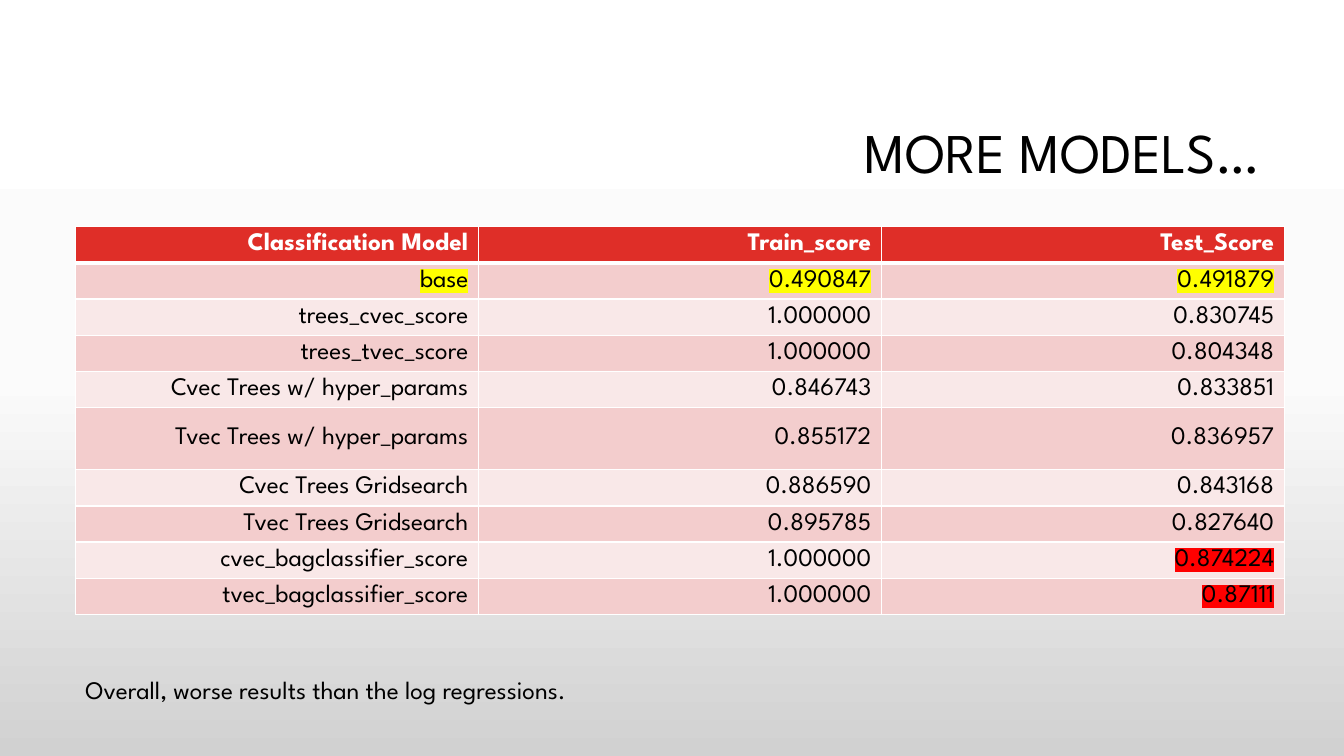
from copy import deepcopy

from lxml import etree
from pptx import Presentation
from pptx.dml.color import RGBColor
from pptx.enum import text
from pptx.oxml import ns
from pptx.util import Pt

FONT = "League Spartan"
BLACK = RGBColor(0x00, 0x00, 0x00)
WHITE = RGBColor(0xFF, 0xFF, 0xFF)
OFF_WHITE = RGBColor(0xFB, 0xFB, 0xFB)
GREY = RGBColor(0xD1, 0xD1, 0xD1)
HEADER_RED = RGBColor(0xDF, 0x2E, 0x28)
PINK = RGBColor(0xF3, 0xCD, 0xCD)
PALE_PINK = RGBColor(0xF9, 0xE8, 0xE8)
YELLOW = RGBColor(0xFF, 0xFF, 0x00)
RED = RGBColor(0xFF, 0x00, 0x00)

SCORES = [
    ("Classification Model", "Train_score", "Test_Score"),
    ("base", "0.490847", "0.491879"),
    ("trees_cvec_score", "1.000000", "0.830745"),
    ("trees_tvec_score", "1.000000", "0.804348"),
    ("Cvec Trees w/ hyper_params", "0.846743", "0.833851"),
    ("Tvec Trees w/ hyper_params", "0.855172", "0.836957"),
    ("Cvec Trees Gridsearch", "0.886590", "0.843168"),
    ("Tvec Trees Gridsearch", "0.895785", "0.827640"),
    ("cvec_bagclassifier_score", "1.000000", "0.874224"),
    ("tvec_bagclassifier_score", "1.000000", "0.87111"),
]
HIGHLIGHTS = {(1, 0): YELLOW, (1, 1): YELLOW, (1, 2): YELLOW,
              (8, 2): RED, (9, 2): RED}
ROW_HEIGHT, TALL_ROW_HEIGHT, TALL_ROW = 25.8, 44.6, 5
COLUMN_WIDTH = 287.8


def format_paragraph(p, size, color=BLACK, bold=False, align=None):
    p.alignment = align
    for r in p.runs:
        r.font.size = Pt(size)
        r.font.name = FONT
        r.font.bold = bold
        r.font.color.rgb = color


def add_color(parent, color):
    etree.SubElement(parent, ns.qn("a:srgbClr"), val=str(color))


def highlight(r, color):
    mark = etree.Element(ns.qn("a:highlight"))
    add_color(mark, color)
    r.font._element.find(ns.qn("a:latin")).addprevious(mark)


def set_borders(cell, bottom_width):
    tc_pr = cell._tc.get_or_add_tcPr()
    widths = {"a:lnL": 1, "a:lnR": 1, "a:lnT": 1, "a:lnB": bottom_width}
    for i, (tag, width) in enumerate(widths.items()):
        ln = etree.Element(ns.qn(tag), w=str(Pt(width)))
        add_color(etree.SubElement(ln, ns.qn("a:solidFill")), WHITE)
        tc_pr.insert(i, ln)


def set_background(s):
    """Fill the slide with a three-stop gradient running downwards."""
    fill = s.background.fill
    fill.gradient()
    fill.gradient_angle = 270
    stop_list = s.element.find(".//" + ns.qn("a:gsLst"))
    stop_list.insert(1, deepcopy(stop_list[0]))
    stops = [(0, WHITE), (0.5, OFF_WHITE), (1, GREY)]
    for stop, (position, color) in zip(fill.gradient_stops, stops):
        stop.position = position
        stop.color.rgb = color


def set_title(s, title):
    sp = s.shapes.title
    sp.left, sp.top, sp.width, sp.height = Pt(228.2), Pt(60.5), Pt(678.2), Pt(101.5)
    tf = sp.text_frame
    tf.text = title
    tf.word_wrap = True
    tf.vertical_anchor = text.MSO_ANCHOR.MIDDLE
    p = tf.paragraphs[0]
    p.line_spacing = 0.9
    format_paragraph(p, 40, align=text.PP_ALIGN.RIGHT)


def fill_cell(cell, value, row, mark):
    header = row == 0
    cell.text = value
    cell.vertical_anchor = text.MSO_ANCHOR.MIDDLE
    cell.margin_top = cell.margin_bottom = Pt(0.75)
    cell.fill.solid()
    cell.fill.fore_color.rgb = HEADER_RED if header else PINK if row % 2 else PALE_PINK
    set_borders(cell, 3 if header else 1)
    p = cell.text_frame.paragraphs[0]
    format_paragraph(p, 18, WHITE if header else BLACK, header, text.PP_ALIGN.RIGHT)
    if mark:
        highlight(p.runs[0], mark)


def add_score_table(s):
    n_rows, n_cols = len(SCORES), len(SCORES[0])
    height = ROW_HEIGHT * (n_rows - 1) + TALL_ROW_HEIGHT
    table = s.shapes.add_table(n_rows, n_cols, Pt(54), Pt(162),
                               Pt(COLUMN_WIDTH * n_cols), Pt(height)).table
    for column in table.columns:
        column.width = Pt(COLUMN_WIDTH)
    for i, values in enumerate(SCORES):
        table.rows[i].height = Pt(TALL_ROW_HEIGHT if i == TALL_ROW else ROW_HEIGHT)
        for j, value in enumerate(values):
            fill_cell(table.cell(i, j), value, i, HIGHLIGHTS.get((i, j)))


def add_conclusion(s, conclusion):
    tf = s.shapes.add_textbox(Pt(54), Pt(478), Pt(851.8), Pt(29)).text_frame
    tf.text = conclusion
    tf.word_wrap = True
    tf.auto_size = text.MSO_AUTO_SIZE.SHAPE_TO_FIT_TEXT
    format_paragraph(tf.paragraphs[0], 18)


def main():
    prs = Presentation()
    prs.slide_width, prs.slide_height = Pt(960), Pt(540)
    s = prs.slides.add_slide(prs.slide_layouts[5])
    set_background(s)
    set_title(s, "MORE MODELS…")
    add_score_table(s)
    add_conclusion(s, "Overall, worse results than the log regressions.")
    prs.save("out.pptx")


if __name__ == "__main__":
    main()
